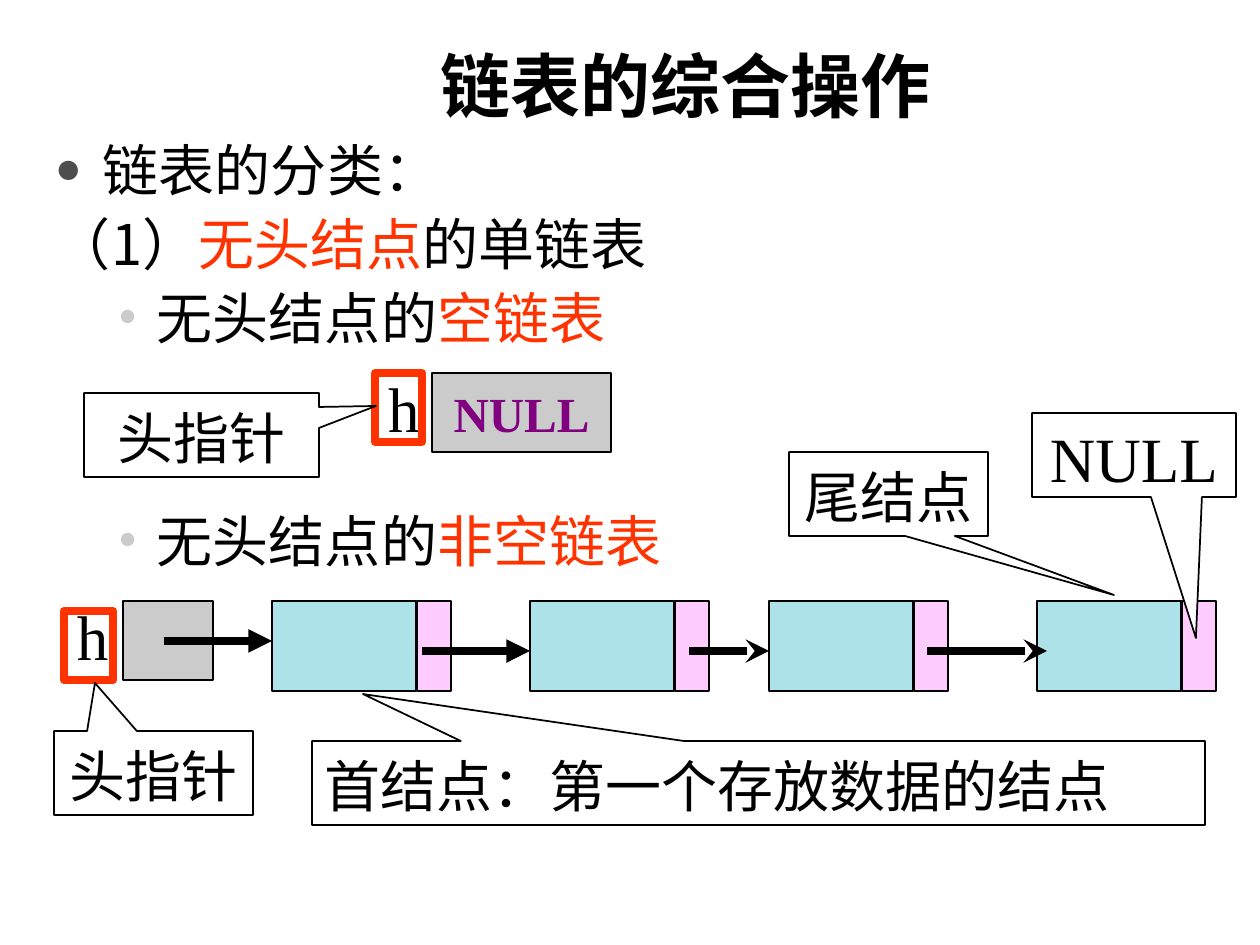
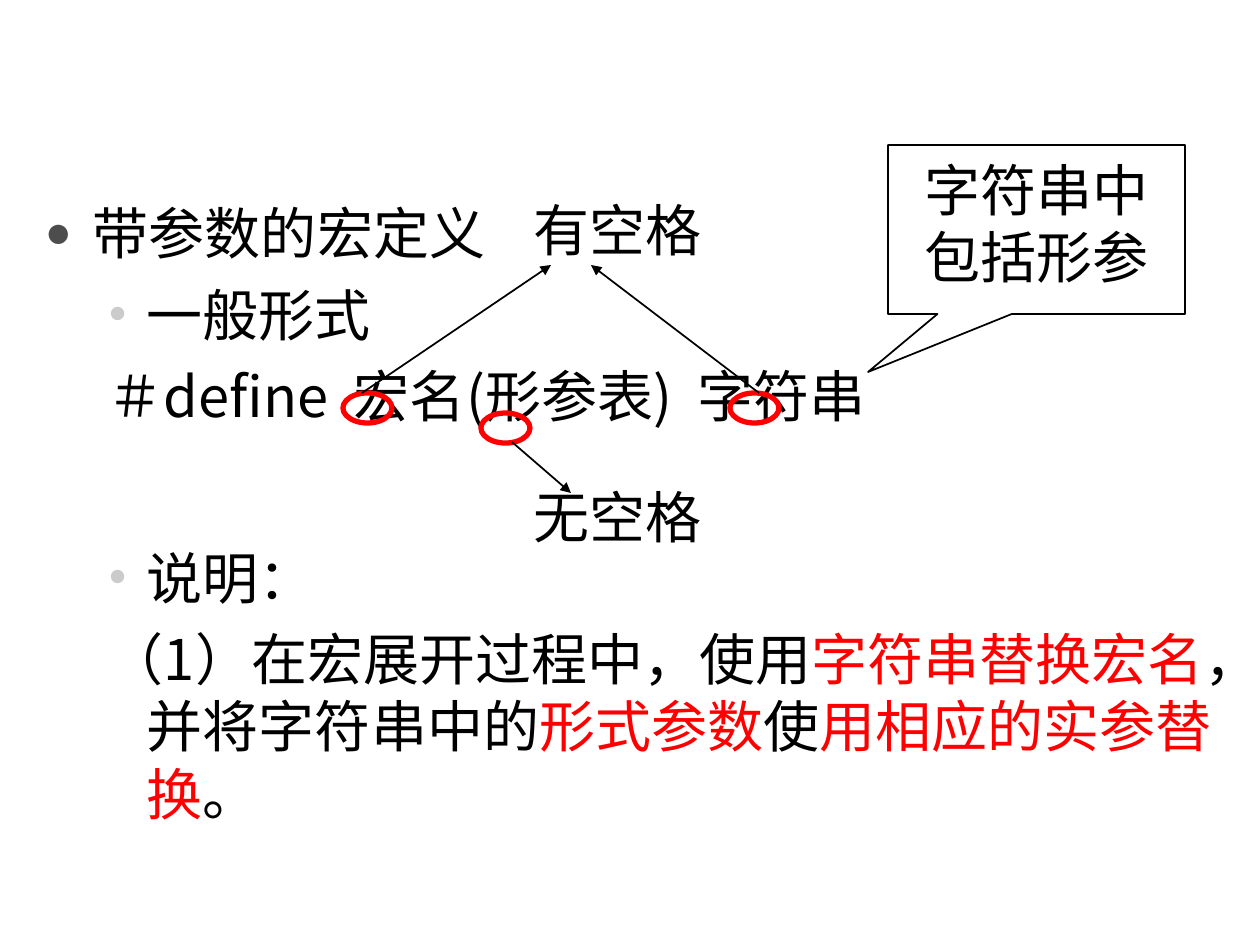
from dataclasses import dataclass

from lxml.etree import SubElement
from pptx import Presentation
from pptx.dml.color import RGBColor
from pptx.enum.shapes import MSO_CONNECTOR, MSO_SHAPE
from pptx.enum.text import MSO_ANCHOR, MSO_AUTO_SIZE, PP_ALIGN
from pptx.oxml.ns import qn
from pptx.util import Emu, Inches, Pt

PX_PER_INCH = 126


def px(length):
    return Emu(round(length * Inches(1) / PX_PER_INCH))


@dataclass(frozen=True)
class Theme:
    ink: str = "000000"
    paper: str = "FFFFFF"
    accent: str = "FF3300"
    red: str = "FF0000"
    purple: str = "800080"
    pointer: str = "CBCBCB"
    data: str = "ADE2E9"
    link: str = "FFCCFF"
    dot: str = "4D4D4D"
    subdot: str = "CBCBCB"
    latin: str = "Times New Roman"
    cjk: str = "Noto Sans CJK SC"
    title: int = 40
    symbol: int = 36
    text: int = 32
    null: int = 28
    leading: float = 38.4
    thin: int = 1
    ring: int = 3
    thick: float = 4.5


@dataclass
class Line:
    """One body paragraph; each run is (text, colour, letter spacing in points)."""
    runs: list
    margin: int = 102
    hanging: int = 39
    bullet: str = ""
    before: float = 0


class Deck:
    def __init__(self, theme):
        self.theme = theme
        self.prs = Presentation()
        self.prs.slide_width, self.prs.slide_height = Inches(10), Inches(7.5)

    def new_slide(self, title=None):
        layout = self.prs.slide_layouts[5 if title else 6]
        self.slide = self.prs.slides.add_slide(layout)
        if title:
            self.heading(title)

    def heading(self, text):
        holder = self.slide.shapes.title
        holder.left, holder.top, holder.width, holder.height = map(px, (362, 16, 853, 136))
        frame = self.frame(holder, MSO_ANCHOR.MIDDLE)
        paragraph = frame.paragraphs[0]
        paragraph.alignment = PP_ALIGN.LEFT
        paragraph._p.get_or_add_pPr().set("marL", str(px(66)))
        self.run(paragraph, text, self.theme.title, self.theme.ink, self.theme.cjk, True)

    def frame(self, shape, anchor=MSO_ANCHOR.TOP, top=6, wrap=True):
        frame = shape.text_frame
        frame.auto_size = MSO_AUTO_SIZE.NONE
        frame.word_wrap = wrap
        frame.vertical_anchor = anchor
        frame.margin_left = frame.margin_right = px(13)
        frame.margin_top, frame.margin_bottom = px(top), px(6)
        return frame

    def run(self, paragraph, text, size, color, face, bold=False, spacing=0):
        run = paragraph.add_run()
        run.text = text
        run.font.size, run.font.bold, run.font.name = Pt(size), bold, face
        run.font.color.rgb = RGBColor.from_string(color)
        properties = run._r.get_or_add_rPr()
        SubElement(properties, qn("a:ea")).set("typeface", self.theme.cjk)
        if spacing:
            properties.set("spc", str(round(spacing * 100)))

    def bullet(self, properties, mark):
        big = mark == "●"
        color = SubElement(properties, qn("a:buClr"))
        SubElement(color, qn("a:srgbClr")).set("val", self.theme.dot if big else self.theme.subdot)
        SubElement(properties, qn("a:buSzPct")).set("val", "80000" if big else "100000")
        SubElement(properties, qn("a:buFont")).set("typeface", self.theme.latin)
        SubElement(properties, qn("a:buChar")).set("char", mark)

    def body(self, box, lines):
        frame = self.frame(self.slide.shapes.add_textbox(*map(px, box)), top=10)
        for index, line in enumerate(lines):
            paragraph = frame.add_paragraph() if index else frame.paragraphs[0]
            properties = paragraph._p.get_or_add_pPr()
            properties.set("marL", str(px(line.margin)))
            properties.set("indent", str(-px(line.hanging)))
            if line.bullet:
                self.bullet(properties, line.bullet)
            paragraph.line_spacing = Pt(self.theme.leading)
            paragraph.space_before = Pt(line.before)
            for text, color, spacing in line.runs:
                self.run(paragraph, text, self.theme.text, color, self.theme.cjk, spacing=spacing)

    def caption(self, shape, text, size, color=None, align=PP_ALIGN.CENTER,
                anchor=MSO_ANCHOR.TOP, bold=False, wrap=True):
        chinese = not text.isascii()
        frame = self.frame(shape, anchor, 10 if chinese else 6, wrap)
        paragraph = frame.paragraphs[0]
        paragraph.alignment = align
        if chinese:
            paragraph.line_spacing = Pt(self.theme.leading)
        self.run(paragraph, text, size, color or self.theme.ink, self.theme.latin, bold)

    def label(self, box, text, size):
        self.caption(self.slide.shapes.add_textbox(*map(px, box)), text, size,
                     align=PP_ALIGN.LEFT, wrap=False)

    def shape(self, kind, box, fill=None, line=None, width=None):
        shape = self.slide.shapes.add_shape(kind, *map(px, box))
        shape.shadow.inherit = False
        if fill:
            shape.fill.solid()
            shape.fill.fore_color.rgb = RGBColor.from_string(fill)
        else:
            shape.fill.background()
        shape.line.color.rgb = RGBColor.from_string(line or self.theme.ink)
        shape.line.width = Pt(width or self.theme.thin)
        return shape

    def box(self, box, fill=None, line=None, width=None):
        return self.shape(MSO_SHAPE.RECTANGLE, box, fill, line, width)

    def ring(self, left, top):
        self.shape(MSO_SHAPE.OVAL, (left, top, 49, 30), None, self.theme.red, self.theme.ring)

    def callout(self, box, tip, text, size, fill=None, align=PP_ALIGN.CENTER):
        left, top, width, height = box
        shape = self.shape(MSO_SHAPE.RECTANGULAR_CALLOUT, box, fill)
        shape.adjustments[0] = (tip[0] - left) / width - 0.5
        shape.adjustments[1] = (tip[1] - top) / height - 0.5
        self.caption(shape, text, size, align=align)

    def arrow(self, start, end, width, head="triangle"):
        arrow = self.slide.shapes.add_connector(
            MSO_CONNECTOR.STRAIGHT, *map(px, (*start, *end)))
        arrow.line.color.rgb = RGBColor.from_string(self.theme.ink)
        arrow.line.width = Pt(width)
        properties = arrow._element.spPr
        SubElement(properties.get_or_add_ln(), qn("a:tailEnd")).set("type", head)
        SubElement(properties, qn("a:effectLst"))

    def node(self, left):
        self.box((left, 601, 144, 90), self.theme.data)
        self.box((left + 145, 601, 34, 90), self.theme.link)


def linked_lists(deck):
    t = deck.theme
    deck.new_slide("链表的综合操作")
    deck.body((42, 125, 1194, 714), [
        Line([("链表的分类：", t.ink, 0)], 48, 48, "●"),
        Line([("（1）", t.ink, 0), ("无头结点", t.accent, 0), ("的单链表", t.ink, 0)],
             48, 48, before=4),
        Line([("无头结点的", t.ink, 0), ("空链表", t.accent, 0)], bullet="•", before=4),
        Line([("无头结点的", t.ink, 0), ("非空链表", t.accent, 0)], bullet="•", before=88.8),
    ])

    # Empty list
    empty = deck.box((432, 373, 179, 79), t.pointer)
    deck.caption(empty, "NULL", t.null, t.purple, anchor=MSO_ANCHOR.MIDDLE, bold=True, wrap=False)
    deck.label((375, 364, 57, 88), "h", t.symbol)
    deck.box((375, 373, 47, 69), None, t.accent, t.thick)
    deck.callout((84, 393, 235, 84), (376, 406), "头指针", t.text, t.paper)

    # Non-empty list: head pointer, nodes and links
    deck.box((123, 601, 90, 79), t.pointer)
    deck.label((64, 592, 57, 88), "h", t.symbol)
    for left in (272, 530, 769, 1037):
        deck.node(left)
    deck.callout((1032, 413, 204, 84), (1196, 638), "NULL", t.symbol, t.paper)
    for start, end, y, head in (
        (164, 272, 641, "triangle"),
        (422, 530, 651, "triangle"),
        (689, 769, 651, "stealth"),
        (927, 1047, 651, "stealth"),
    ):
        deck.arrow((start, y), (end, y), t.thick, head)
    deck.box((64, 611, 49, 69), None, t.accent, t.thick)

    # Names of the parts
    deck.callout((54, 731, 199, 84), (95, 683), "头指针", t.text, t.paper)
    deck.callout((312, 741, 893, 84), (363, 694), "首结点：第一个存放数据的结点",
                 t.text, t.paper, PP_ALIGN.LEFT)
    deck.callout((789, 452, 199, 84), (1114, 595), "尾结点", t.text, t.paper)


def macros(deck):
    t = deck.theme
    wide_space = (" ", t.ink, 7.2)
    deck.new_slide()
    deck.body((32, 189, 1197, 703), [
        Line([("带参数的宏定义", t.ink, 0)], 48, 48, "●"),
        Line([("一般形式", t.ink, 0)], bullet="•", before=8),
        Line([("＃define", t.ink, 0), wide_space, ("宏名(形参表)", t.ink, 0), wide_space,
              ("字符串", t.ink, 0)], before=8),
        Line([("说明：", t.ink, 0)], bullet="•", before=65.6),
        Line([("（1）在宏展开过程中，使用", t.ink, 0), ("字符串替换宏名", t.red, 0),
              ("，并将字符串中的", t.ink, 0), ("形式参数", t.red, 0), ("使", t.ink, 0),
              ("用相应的实参替换", t.red, 0), ("。", t.ink, 0)], before=8),
    ])

    # Where spaces are required
    for left in (343, 730):
        deck.ring(left, 393)
    deck.arrow((362, 393), (551, 265), t.thin)
    deck.arrow((759, 393), (591, 265), t.thin)
    deck.label((520, 185, 193, 81), "有空格", t.text)

    # Where no space is allowed
    deck.ring(481, 413)
    deck.arrow((512, 442), (571, 493), t.thin)
    deck.label((520, 472, 193, 81), "无空格", t.text)

    deck.callout((888, 145, 297, 169), (868, 372), "字符串中包括形参", t.text)


def main():
    deck = Deck(Theme())
    linked_lists(deck)
    macros(deck)
    deck.prs.save("out.pptx")


if __name__ == "__main__":
    main()
